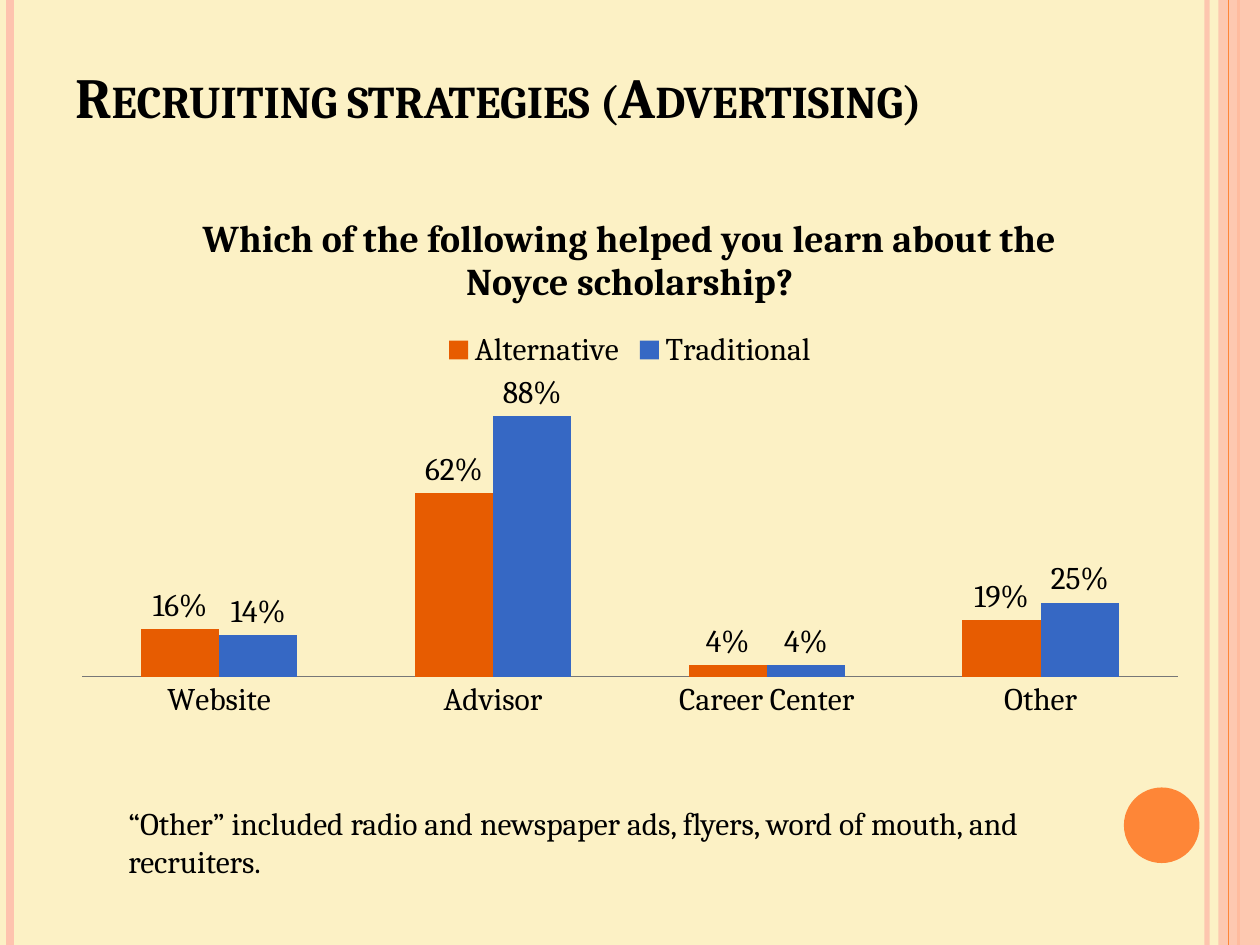
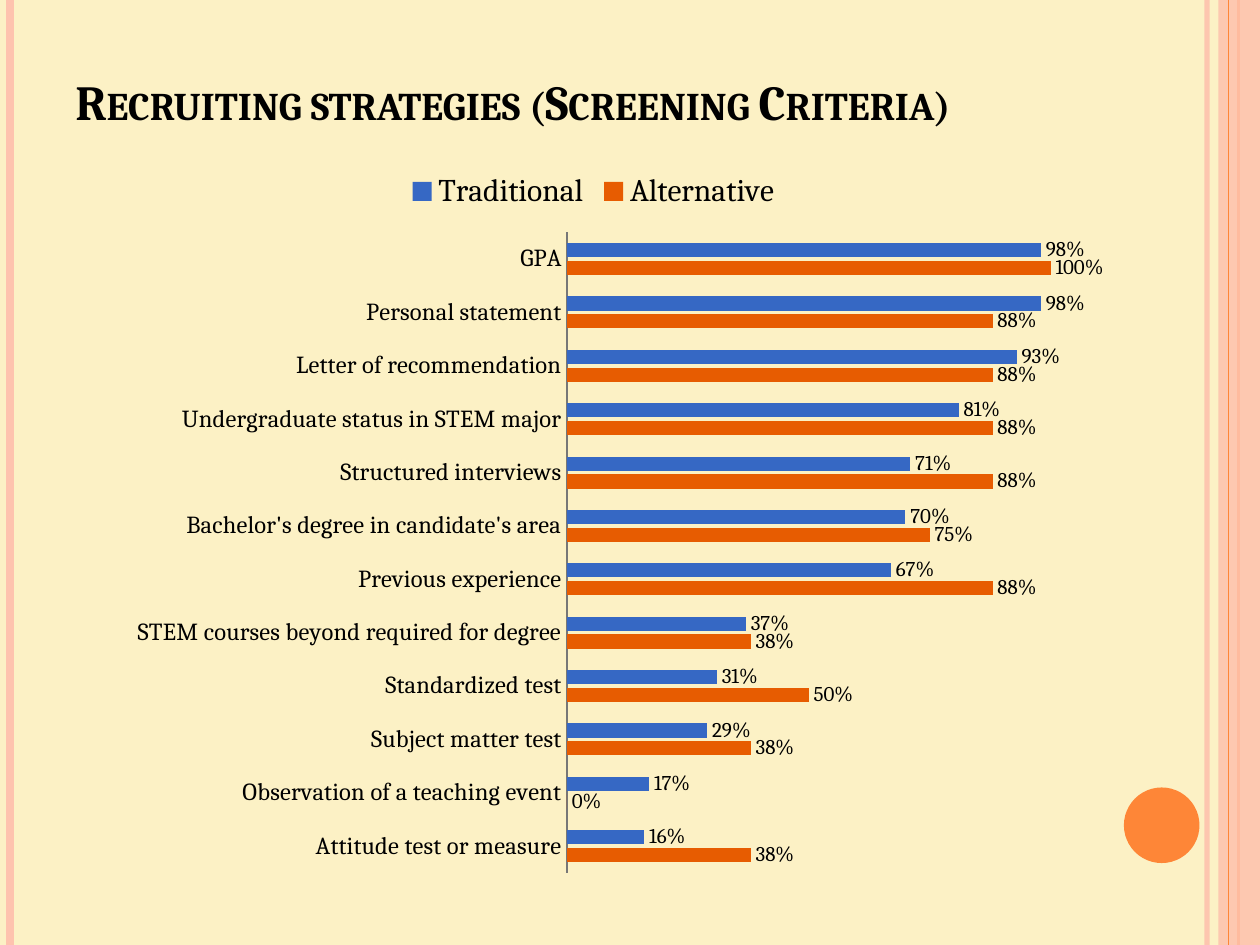
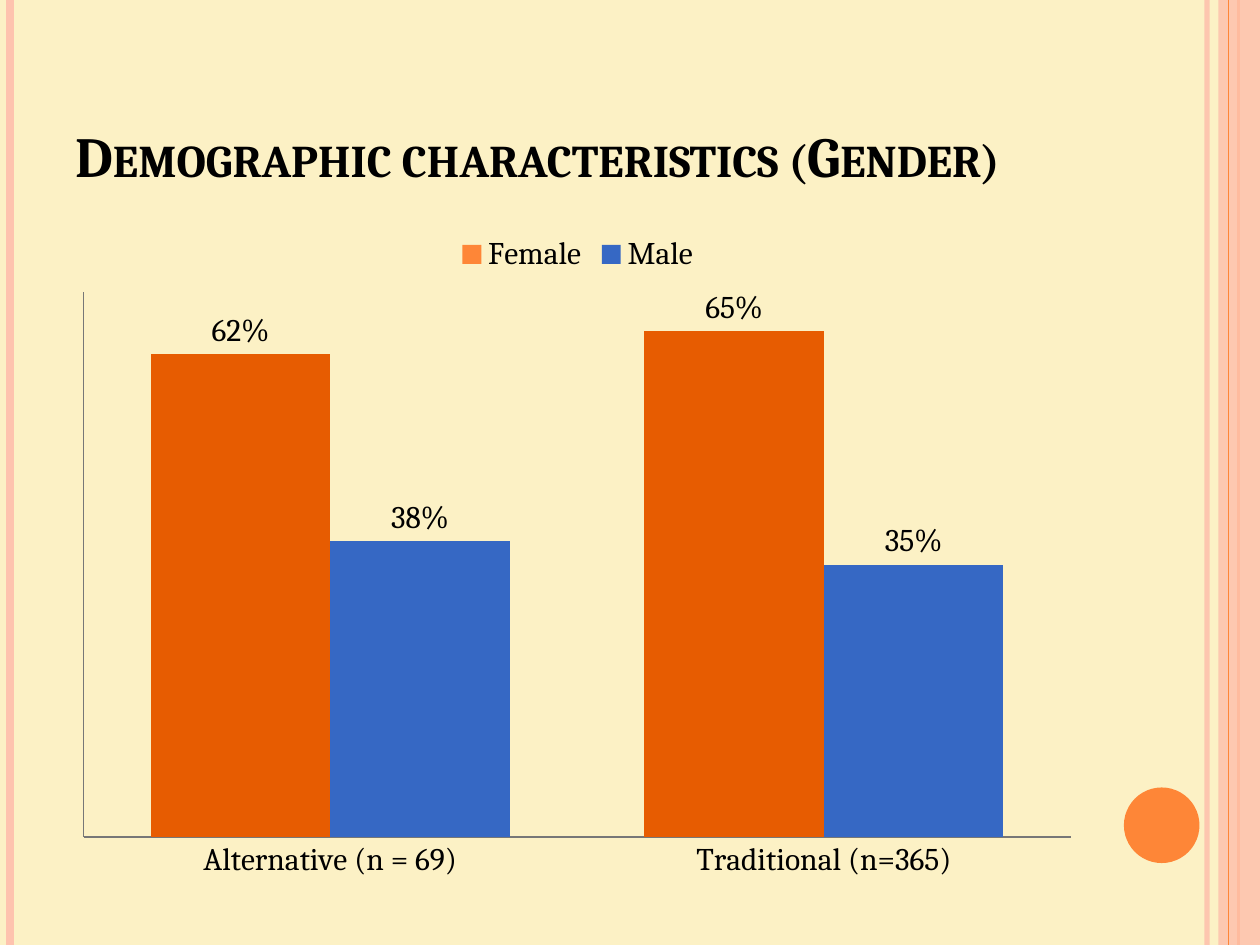
from lxml import etree
from pptx import Presentation
from pptx.chart.data import CategoryChartData
from pptx.dml.color import RGBColor
from pptx.enum.chart import (
    XL_CHART_TYPE as ChartType,
    XL_LABEL_POSITION as LabelPosition,
    XL_LEGEND_POSITION as LegendPosition,
    XL_TICK_LABEL_POSITION as TickLabels,
    XL_TICK_MARK as TickMark,
)
from pptx.enum.shapes import MSO_CONNECTOR as Connector, MSO_SHAPE as Shape
from pptx.enum.text import MSO_ANCHOR as Anchor
from pptx.oxml.ns import qn
from pptx.util import Inches, Pt

FONT = "Cambria"
COLORS = {
    "page": "FCF1C5",
    "pink": "FEC3AE",
    "orange": "FE8637",
    "dark orange": "E75C01",
    "blue": "3668C4",
    "axis": "777777",
    "text": "000000",
}
SERIES_COLORS = {
    "Alternative": "dark orange",
    "Traditional": "blue",
    "Female": "orange",
    "Male": "blue",
}
PAGE_WIDTH, PAGE_HEIGHT = 10, 7.5


def color(name):
    return RGBColor.from_string(COLORS[name])


def set_opacity(shape, percent):
    for tint in shape._element.spPr.iter(qn("a:srgbClr")):
        etree.SubElement(tint, qn("a:alpha"), val=str(percent * 1000))


def style_font(font, size, bold=False):
    font.name = FONT
    font.size = Pt(size)
    font.bold = bold
    font.color.rgb = color("text")


# Page frame
def add_stripe(page, x, width, tint, opacity=100):
    stripe = page.shapes.add_connector(
        Connector.STRAIGHT, Inches(x), 0, Inches(x), Inches(PAGE_HEIGHT))
    stripe.line.color.rgb = color(tint)
    stripe.line.width = Pt(width)
    etree.SubElement(stripe._element.spPr, qn("a:effectLst"))
    if opacity < 100:
        set_opacity(stripe, opacity)


def add_solid(page, kind, box, tint):
    solid = page.shapes.add_shape(kind, *map(Inches, box))
    solid.shadow.inherit = False
    solid.fill.solid()
    solid.fill.fore_color.rgb = color(tint)
    solid.line.fill.background()
    return solid


def add_page(deck):
    page = deck.slides.add_slide(deck.slide_layouts[6])
    page.background.fill.solid()
    page.background.fill.fore_color.rgb = color("page")
    add_stripe(page, 9.58, 3, "pink", 93)
    add_stripe(page, 0.08, 4.5, "pink")
    add_stripe(page, 9.83, 1.5, "orange")
    band = add_solid(page, Shape.RECTANGLE, (9.67, 0, 0.33, PAGE_HEIGHT), "pink")
    set_opacity(band, 87)
    add_stripe(page, 9.75, 0.75, "orange")
    add_solid(page, Shape.OVAL, (8.92, 6.25, 0.6, 0.6), "orange")
    return page


# Text
def add_text(page, box, text, size, bold=False, anchor=Anchor.TOP):
    frame = page.shapes.add_textbox(*map(Inches, box)).text_frame
    frame.word_wrap = True
    frame.vertical_anchor = anchor
    frame.text = text
    span = frame.paragraphs[0].runs[0]
    style_font(span.font, size, bold)
    return span


def add_title(page, box, text, size=32.4):
    span = add_text(page, box, text, size, True, Anchor.BOTTOM)
    span.font._element.set("cap", "small")


# Charts
def set_plot_area(chart, area):
    plot_area = chart._chartSpace.chart.plotArea
    for old in plot_area.findall(qn("c:layout")):
        plot_area.remove(old)
    layout = etree.Element(qn("c:layout"))
    plot_area.insert(0, layout)
    manual = etree.SubElement(layout, qn("c:manualLayout"))
    settings = [("layoutTarget", "inner"), ("xMode", "edge"), ("yMode", "edge")]
    settings += zip("xywh", area)
    for tag, value in settings:
        etree.SubElement(manual, qn(f"c:{tag}"), val=str(value))


def add_share_chart(page, box, categories, series, area, kind=ChartType.COLUMN_CLUSTERED,
                    maximum=1, gap=150, overlap=0, label_size=18, category_size=18,
                    show_value_axis=False):
    data = CategoryChartData(number_format="0%")
    data.categories = categories
    for name, percents in series.items():
        data.add_series(name, [percent / 100 for percent in percents])
    chart = page.shapes.add_chart(kind, *map(Inches, box), data).chart
    style_font(chart.font, 18)
    chart.has_title = False
    set_plot_area(chart, area)

    chart.has_legend = True
    chart.legend.position = LegendPosition.TOP
    chart.legend.include_in_layout = False
    style_font(chart.legend.font, 18)

    for axis in (chart.category_axis, chart.value_axis):
        axis.has_major_gridlines = False
        axis.major_tick_mark = axis.minor_tick_mark = TickMark.NONE
        axis.format.line.color.rgb = color("axis")
        axis.format.line.width = Pt(0.75)
    style_font(chart.category_axis.tick_labels.font, category_size)
    chart.value_axis.minimum_scale = 0
    chart.value_axis.maximum_scale = maximum
    chart.value_axis.tick_label_position = TickLabels.NONE
    chart.value_axis.visible = show_value_axis

    plot = chart.plots[0]
    plot.vary_by_categories = False
    plot.gap_width = gap
    plot.overlap = overlap
    plot.has_data_labels = True
    labels = plot.data_labels
    labels.show_value = True
    labels.number_format = "0%"
    labels.number_format_is_linked = False
    labels.position = LabelPosition.OUTSIDE_END
    style_font(labels.font, label_size)
    for bars in plot.series:
        bars.invert_if_negative = False
        bars.format.fill.solid()
        bars.format.fill.fore_color.rgb = color(SERIES_COLORS[bars.name])
    return chart


# Slides
def add_advertising_page(deck):
    page = add_page(deck)
    add_title(page, (0.5, 0.3, 9, 0.78), "Recruiting strategies (Advertising)")
    chart = add_share_chart(
        page, (0.5, 1.5, 9, 4.42),
        ["Website", "Advisor", "Career Center", "Other"],
        {"Alternative": [16, 62, 4, 19], "Traditional": [14, 88, 4, 25]},
        area=(0.017, 0.344, 0.966, 0.532))
    heading = chart.chart_title.text_frame
    heading.text = "Which of the following helped you learn about the Noyce scholarship?"
    style_font(heading.paragraphs[0].runs[0].font, 21.6, True)
    chart.chart_title.include_in_layout = False
    add_text(page, (0.92, 6.33, 7.5, 0.71),
             "“Other” included radio and newspaper ads, flyers, word of mouth, and recruiters.", 18)


def add_screening_page(deck):
    page = add_page(deck)
    add_title(page, (0.5, 0.33, 9, 0.75), "Recruiting strategies (Screening Criteria)", 28)
    # Criterion, alternative share, traditional share, from the bottom up
    criteria = [
        ("Attitude test or measure", 38, 16),
        ("Observation of a teaching event", 0, 17),
        ("Subject matter test", 38, 29),
        ("Standardized test", 50, 31),
        ("STEM courses beyond required for degree", 38, 37),
        ("Previous experience", 88, 67),
        ("Bachelor's degree in candidate's area", 75, 70),
        ("Structured interviews", 88, 71),
        ("Undergraduate status in STEM major", 88, 81),
        ("Letter of recommendation", 88, 93),
        ("Personal statement", 88, 98),
        ("GPA", 100, 98),
    ]
    names, alternative, traditional = zip(*criteria)
    add_share_chart(
        page, (0.5, 1.25, 8.42, 5.83), names,
        {"Alternative": alternative, "Traditional": traditional},
        area=(0.475, 0.102, 0.456, 0.872), kind=ChartType.BAR_CLUSTERED,
        overlap=-25, label_size=12, category_size=14)


def add_gender_page(deck):
    page = add_page(deck)
    add_title(page, (0.5, 0.3, 8.17, 1.25), "Demographic characteristics (Gender)")
    chart = add_share_chart(
        page, (0.5, 1.75, 8.17, 5.33),
        ["Alternative (n = 69)", "Traditional (n=365)"],
        {"Female": [62, 65], "Male": [38, 35]},
        area=(0.02, 0.107, 0.959, 0.811), maximum=0.7, gap=75, show_value_axis=True)
    female = chart.plots[0].series[0]
    for index in range(2):
        fill = female.points[index].format.fill
        fill.solid()
        fill.fore_color.rgb = color("dark orange")


def main():
    deck = Presentation()
    deck.slide_width = Inches(PAGE_WIDTH)
    deck.slide_height = Inches(PAGE_HEIGHT)
    add_advertising_page(deck)
    add_screening_page(deck)
    add_gender_page(deck)
    deck.save("out.pptx")


if __name__ == "__main__":
    main()
